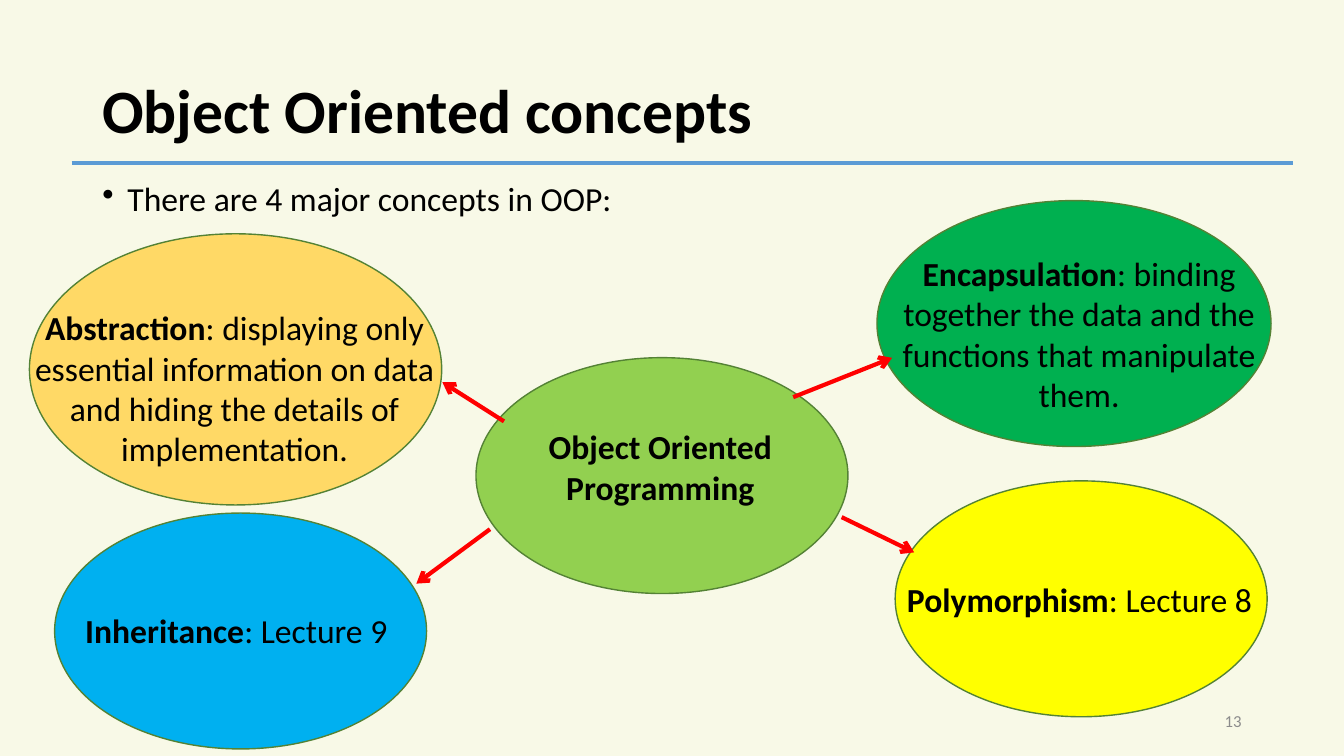
from lxml import etree
from pptx import Presentation
from pptx.dml.color import RGBColor
from pptx.enum.shapes import MSO_CONNECTOR, MSO_SHAPE
from pptx.enum.text import MSO_ANCHOR, PP_ALIGN
from pptx.oxml.ns import qn
from pptx.util import Pt

LINE, OVAL = MSO_CONNECTOR.STRAIGHT, MSO_SHAPE.OVAL
TOP, MIDDLE = MSO_ANCHOR.TOP, MSO_ANCHOR.MIDDLE
LEFT, CENTER, RIGHT = PP_ALIGN.LEFT, PP_ALIGN.CENTER, PP_ALIGN.RIGHT
FONT = "Calibri"
COLORS = {
    "background": "F8F9E7", "text": "000000", "number": "8C8C8C",
    "rule": "5B9BD5", "arrow": "FF0000", "outline": "548235",
    "center": "92D050", "abstraction": "FFD966", "inheritance": "00B0F0",
    "polymorphism": "FFFF00", "encapsulation": "00B050",
}
CONCEPTS = [
    ("abstraction", (21, 167, 294.5, 193.7), (-19, 49, 331, 124), "Abstraction",
     ": displaying only essential information on data and hiding the details of implementation."),
    ("inheritance", (39, 366.5, 265.7, 168.5), (7.8, 65.5, 244, 36), "Inheritance", ": Lecture 9"),
    ("polymorphism", (639.4, 343.5, 265.7, 168.5), (-5.8, 66.2, 275, 36), "Polymorphism", ": Lecture 8"),
    ("encapsulation", (626.4, 143.3, 281.5, 175.7), (-7.9, 33.8, 304.6, 124), "Encapsulation",
     ": binding together the data and the functions that manipulate them."),
]
ARROWS = [
    (360, 301, 316, 273), (350, 378, 297.4, 416.9),
    (566.6, 283.7, 637.2, 255.6), (601.2, 369.4, 653, 394.6),
]


def rgb(name):
    """Return the named colour."""
    return RGBColor.from_string(COLORS[name])


def add_text(s, box, runs, size=24, align=CENTER, anchor=TOP, color="text"):
    """Add a one-paragraph text box of (text, bold) runs and return the paragraph."""
    tf = s.shapes.add_textbox(*map(Pt, box)).text_frame
    tf.word_wrap = True
    tf.vertical_anchor = anchor
    p = tf.paragraphs[0]
    p.alignment = align
    for text, bold in runs:
        r = p.add_run()
        r.text = text
        r.font.bold = bold
    p.font.name, p.font.size = FONT, Pt(size)
    p.font.color.rgb = rgb(color)
    return p


def add_line(s, points, color, arrow=False):
    """Add a straight line, with an arrowhead at its end if asked."""
    c = s.shapes.add_connector(LINE, *map(Pt, points))
    c.line.color.rgb = rgb(color)
    c.line.width = Pt(3)
    if arrow:
        etree.SubElement(c.line._get_or_add_ln(), qn("a:tailEnd"), type="arrow")
    etree.SubElement(c._element.spPr, qn("a:effectLst"))


def add_concept(s, box, label, color, runs):
    """Add an oval in the box, with a label placed relative to its corner."""
    x, y, w, h = box
    sp = s.shapes.add_shape(OVAL, Pt(x), Pt(y), Pt(w), Pt(h))
    sp.shadow.inherit = False
    sp.fill.solid()
    sp.fill.fore_color.rgb = rgb(color)
    sp.line.color.rgb = rgb("outline")
    sp.line.width = Pt(1)
    dx, dy, lw, lh = label
    add_text(s, (x + dx, y + dy, lw, lh), runs)


def add_header(s, x, y, w):
    """Add the title, the rule below it and the opening bullet."""
    p = add_text(s, (x, y, w, 104.4), [("Object Oriented concepts", True)], 44, LEFT, MIDDLE)
    p.line_spacing = 0.9
    add_line(s, (x - 14.9, y + 87.8, x + w + 29.8, y + 87.8), "rule")
    p = add_text(s, (x, y + 89.3, w, 45), [("There are 4 major concepts in OOP:", False)], align=LEFT)
    p.line_spacing = 1.2
    pPr = p._p.get_or_add_pPr()
    pPr.set("marL", str(Pt(18)))
    pPr.set("indent", str(Pt(-18)))
    bullet = etree.Element(qn("a:buChar"), char="•")
    pPr.find(qn("a:defRPr")).addprevious(bullet)


def add_diagram(s):
    """Add the central oval, the four concepts and the arrows to them."""
    add_concept(s, (340, 255.5, 265.7, 168.5), (20.7, 45.5, 221.8, 65.5), "center",
                [("Object Oriented Programming", True)])
    for color, box, label, name, meaning in CONCEPTS:
        add_concept(s, box, label, color, [(name, True), (meaning, False)])
    for points in ARROWS:
        add_line(s, points, "arrow", arrow=True)


def main():
    """Build and save the slide."""
    prs = Presentation()
    prs.slide_width, prs.slide_height = Pt(960), Pt(540)
    s = prs.slides.add_slide(prs.slide_layouts[6])
    s.background.fill.solid()
    s.background.fill.fore_color.rgb = rgb("background")
    add_header(s, 66, 28.8, 828)
    add_diagram(s)
    add_text(s, (678, 500.4, 216, 28.8), [("13", False)], 12, RIGHT, MIDDLE, "number")
    prs.save("out.pptx")


if __name__ == "__main__":
    main()
